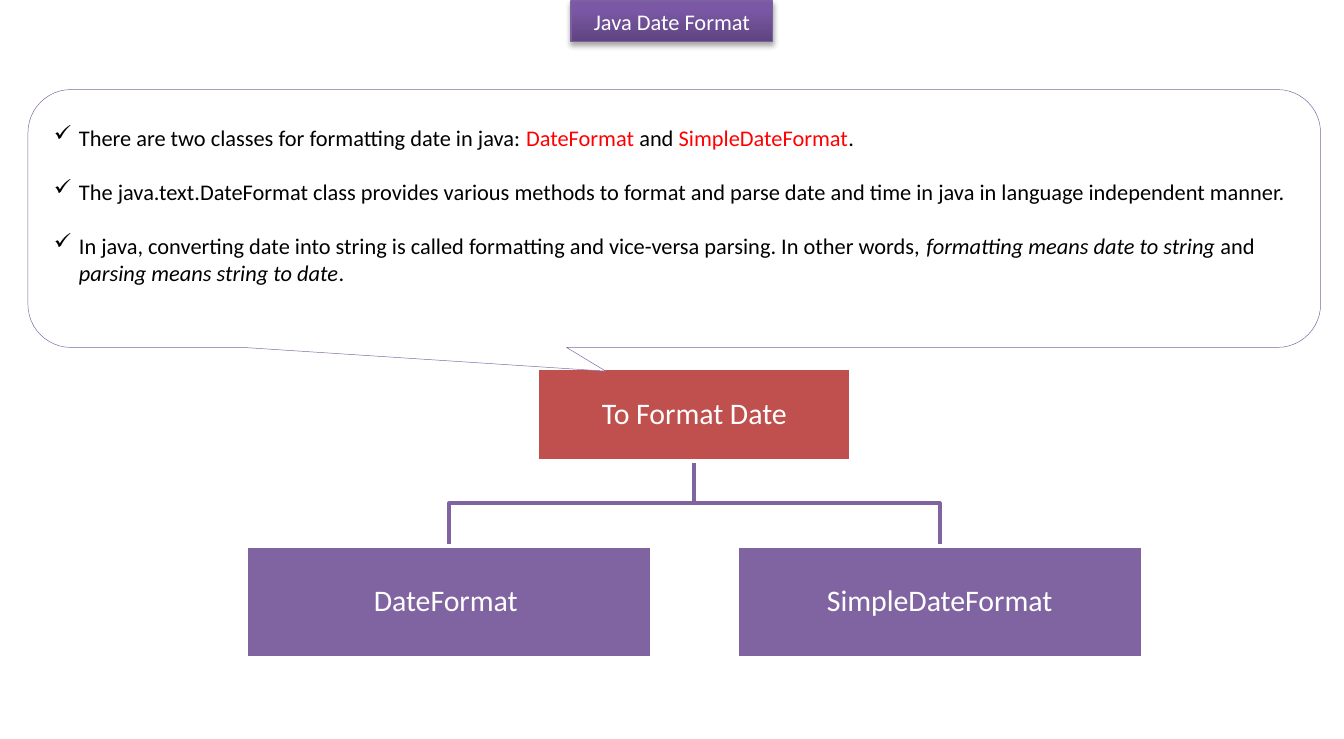
"""Build the Java date format slide: a titled callout above a small class tree."""
import dataclasses
import typing

import lxml.etree
import pptx
import pptx.dml.color
import pptx.enum.shapes
import pptx.enum.text
import pptx.oxml.ns
import pptx.util

Pt = pptx.util.Pt
RGB = pptx.dml.color.RGBColor
SHAPES = pptx.enum.shapes.MSO_SHAPE
qn = pptx.oxml.ns.qn


@dataclasses.dataclass(frozen=True)
class Theme:
    """Colours, font and type sizes of the slide."""
    font: str = "Calibri"
    body_size: float = 12
    node_size: float = 16
    white: str = "FFFFFF"
    ink: str = "000000"
    keyword: str = "FF0000"
    root: str = "C0504D"
    purple: str = "8064A2"
    title_line: str = "7D60A0"
    title_stops: tuple = ((0, "5F4480"), (80, "7B58A6"), (100, "7C57A8"))


@dataclasses.dataclass(frozen=True)
class Box:
    """A labelled rectangle, measured in points."""
    label: str
    left: float
    top: float
    width: float
    height: float
    color: str

    @property
    def center(self) -> float:
        """Return the horizontal middle."""
        return self.left + self.width / 2

    @property
    def bottom(self) -> float:
        """Return the lower edge."""
        return self.top + self.height


class Piece(typing.NamedTuple):
    """A stretch of text with one emphasis."""
    text: str
    keyword: bool = False
    italic: bool = False


THEME = Theme()
CHILD_WIDTH, CHILD_OFFSET = 217.4, 131.4
TITLE = Box("Java Date Format", 306, 0.5, 108, 21.8, THEME.white)
CALLOUT = Box("", 15, 48, 692.5, 138.2, THEME.white)
ROOT = Box("To Format Date", 288, 197.3, 168, 49.7, THEME.root)
CHILDREN = [
    Box(label, ROOT.center + side * CHILD_OFFSET - CHILD_WIDTH / 2, 292.4, CHILD_WIDTH, 60.4, THEME.purple)
    for label, side in (("DateFormat ", -1), ("SimpleDateFormat", 1))
]
POINTS = [
    [Piece("There are two classes for formatting date in java: "), Piece("DateFormat", keyword=True),
     Piece(" and "), Piece("SimpleDateFormat", keyword=True), Piece(".")],
    [Piece("The java.text.DateFormat class provides various methods to format and parse date and time "
           "in java in language independent manner.")],
    [Piece("In java, converting date into string is called formatting and vice-versa parsing. "
           "In other words, "), Piece("formatting means date to string", italic=True), Piece(" and "),
     Piece("parsing means string to date", italic=True), Piece(".")],
]


def add_shape(slide, kind, box: Box, line_color: str, line_width: float):
    """Draw a flat filled shape with an outline."""
    shape = slide.shapes.add_shape(kind, Pt(box.left), Pt(box.top), Pt(box.width), Pt(box.height))
    shape.shadow.inherit = False
    shape.fill.solid()
    shape.fill.fore_color.rgb = RGB.from_string(box.color)
    shape.line.color.rgb = RGB.from_string(line_color)
    shape.line.width = Pt(line_width)
    shape.text_frame.word_wrap = True
    return shape


def set_font(paragraph, size: float, color: str) -> None:
    """Set the shared font of a paragraph."""
    paragraph.font.name = THEME.font
    paragraph.font.size = Pt(size)
    paragraph.font.color.rgb = RGB.from_string(color)


def set_label(shape, text: str, size: float):
    """Write one centred white line and return its paragraph."""
    paragraph = shape.text_frame.paragraphs[0]
    paragraph.text = text
    paragraph.alignment = pptx.enum.text.PP_ALIGN.CENTER
    set_font(paragraph, size, THEME.white)
    return paragraph


def add_color(parent, color: str):
    """Append a colour element and return it."""
    return lxml.etree.SubElement(parent, qn("a:srgbClr"), val=color)


def add_title(slide) -> None:
    """Draw the title plate with its gradient and shadow."""
    plate = add_shape(slide, SHAPES.RECTANGLE, TITLE, THEME.title_line, 0.75)
    plate.fill.gradient()
    plate.fill.gradient_angle = 90
    stops = plate._element.spPr.find(".//" + qn("a:gsLst"))
    for stop in list(stops):
        stops.remove(stop)
    for percent, color in THEME.title_stops:
        add_color(lxml.etree.SubElement(stops, qn("a:gs"), pos=str(percent * 1000)), color)
    shadow = lxml.etree.SubElement(
        plate._element.spPr.find(qn("a:effectLst")), qn("a:outerShdw"),
        blurRad=str(Pt(3.1)), dist=str(Pt(1.8)), dir="5400000", rotWithShape="0")
    lxml.etree.SubElement(add_color(shadow, THEME.ink), qn("a:alpha"), val="35000")
    set_label(plate, TITLE.label, THEME.body_size)


def add_branch(slide, parent: Box, child: Box) -> None:
    """Draw the bent line from a parent down to a child."""
    bend = (parent.bottom + child.top) / 2
    builder = slide.shapes.build_freeform(Pt(parent.center), Pt(parent.bottom))
    corners = [(parent.center, bend), (child.center, bend), (child.center, child.top)]
    builder.add_line_segments([(Pt(x), Pt(y)) for x, y in corners], close=False)
    branch = builder.convert_to_shape()
    branch.shadow.inherit = False
    branch.fill.background()
    branch.line.color.rgb = RGB.from_string(THEME.purple)
    branch.line.width = Pt(2)


def add_node(slide, box: Box) -> None:
    """Draw one box of the class tree."""
    node = add_shape(slide, SHAPES.RECTANGLE, box, THEME.white, 2)
    frame = node.text_frame
    frame.margin_left = frame.margin_right = frame.margin_top = frame.margin_bottom = Pt(0.72)
    frame.vertical_anchor = pptx.enum.text.MSO_ANCHOR.MIDDLE
    set_label(node, box.label, THEME.node_size).line_spacing = 0.9


def add_callout(slide) -> None:
    """Draw the callout with its ticked points."""
    callout = add_shape(slide, SHAPES.ROUNDED_RECTANGULAR_CALLOUT, CALLOUT, THEME.purple, 0.25)
    for index, value in enumerate((-0.053, 0.592, 0.167)):
        callout.adjustments[index] = value
    frame = callout.text_frame
    frame.vertical_anchor = pptx.enum.text.MSO_ANCHOR.MIDDLE
    frame.margin_bottom = Pt(18.2)
    for index, pieces in enumerate(POINTS):
        paragraph = frame.add_paragraph() if index else frame.paragraphs[0]
        paragraph.alignment = pptx.enum.text.PP_ALIGN.LEFT
        properties = paragraph._p.get_or_add_pPr()
        properties.set("marL", str(Pt(13.5)))
        properties.set("indent", str(-Pt(13.5)))
        lxml.etree.SubElement(properties, qn("a:buChar"), char="✓")
        if index:
            paragraph.space_before = Pt(14.6)
        set_font(paragraph, THEME.body_size, THEME.ink)
        for piece in pieces:
            run = paragraph.add_run()
            run.text = piece.text
            if piece.keyword:
                run.font.color.rgb = RGB.from_string(THEME.keyword)
            if piece.italic:
                run.font.italic = True


def main() -> None:
    """Build and save the slide."""
    deck = pptx.Presentation()
    deck.slide_width, deck.slide_height = Pt(720), Pt(396)
    slide = deck.slides.add_slide(deck.slide_layouts[6])
    add_title(slide)
    for child in CHILDREN:
        add_branch(slide, ROOT, child)
    for box in (ROOT, *CHILDREN):
        add_node(slide, box)
    add_callout(slide)
    deck.save("out.pptx")


if __name__ == "__main__":
    main()
